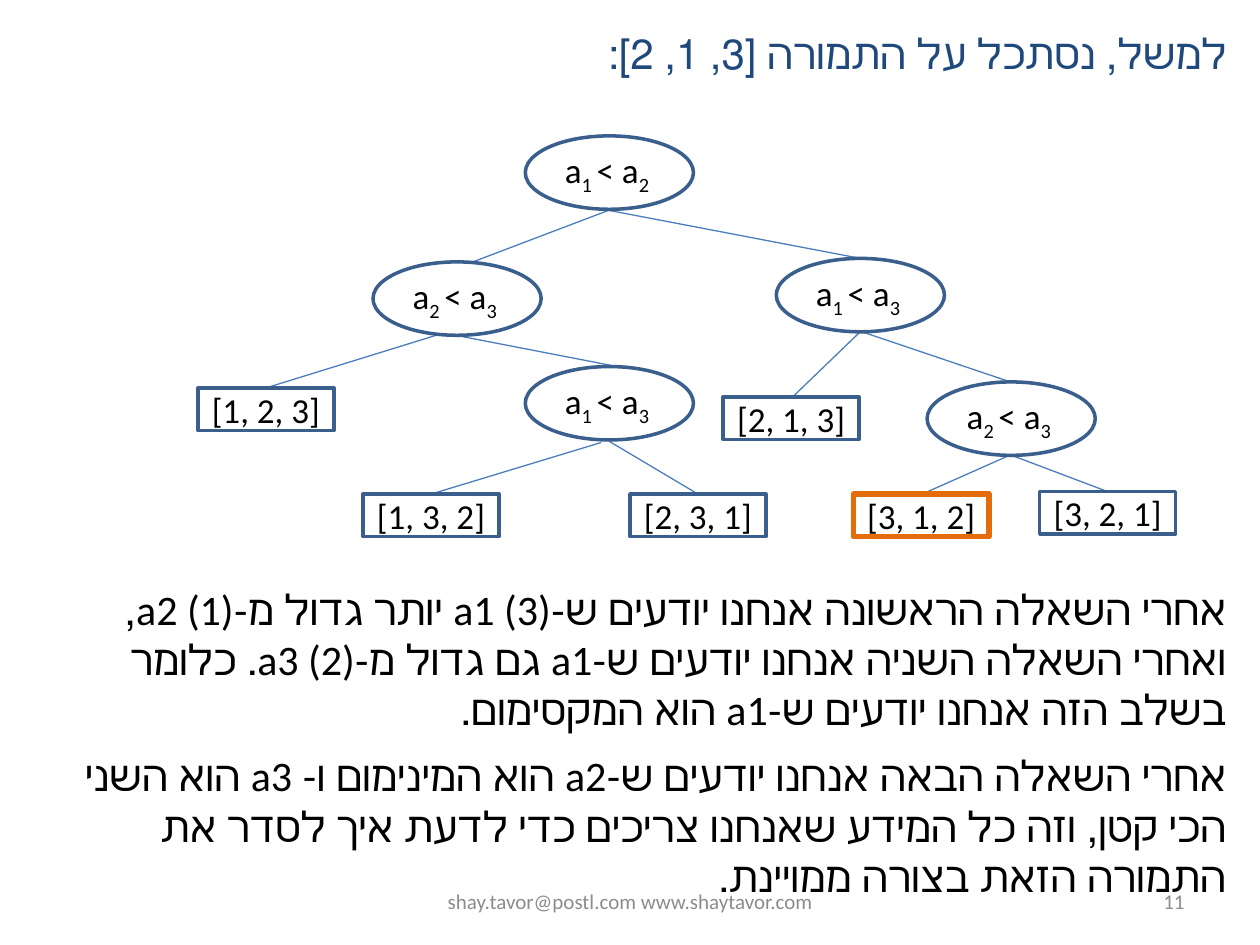
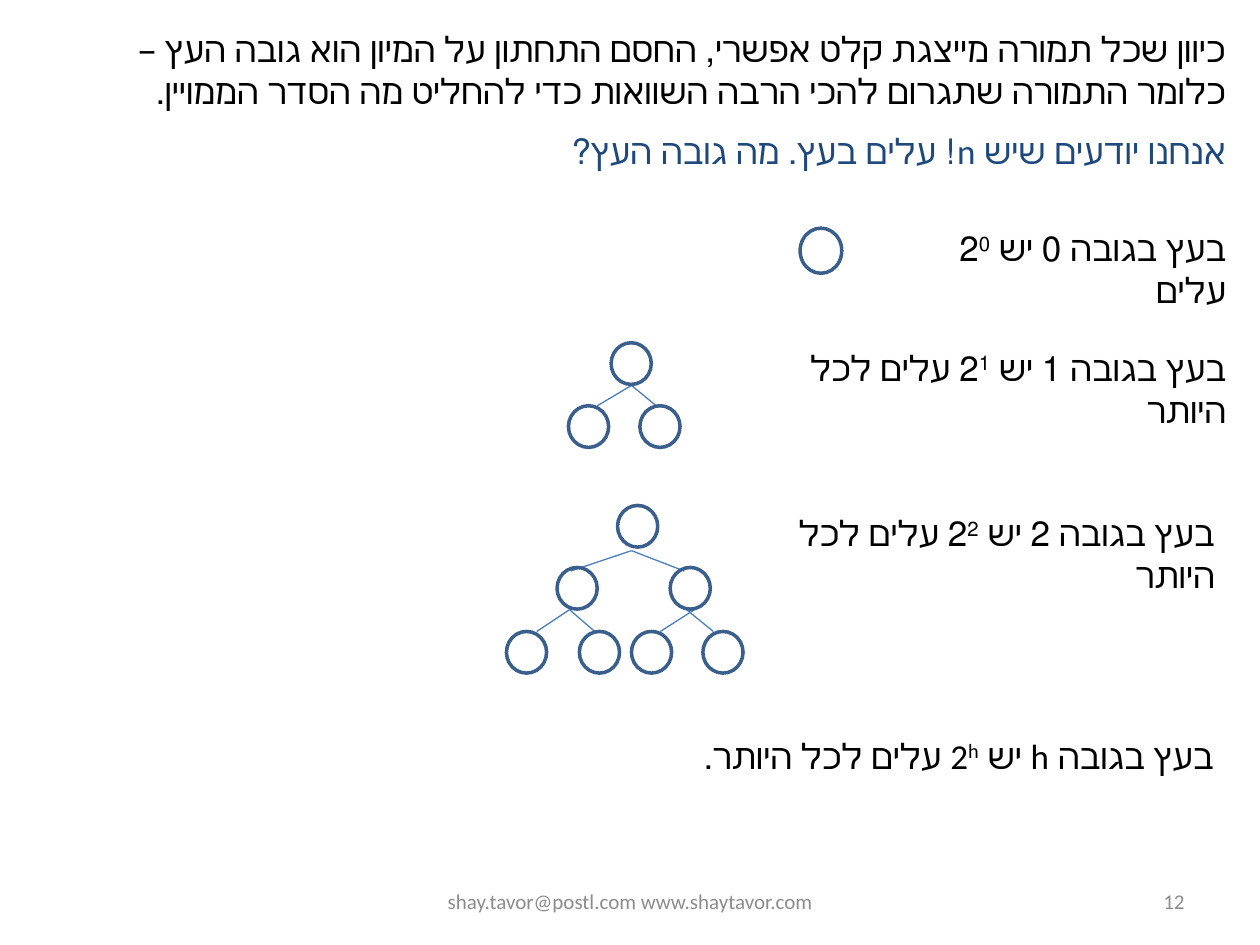
from lxml import etree
from pptx import Presentation
from pptx import util as u
from pptx.dml.color import RGBColor
from pptx.enum import shapes, text
from pptx.oxml.ns import qn

FONT = "Calibri"
BLACK, NAVY, GREY = "000000", "1F497D", "8C8C8C"
EDGE, WIRE, MARK = "3A5F8C", "4B7EBC", "E46C0A"
OVAL, RECT = shapes.MSO_SHAPE.OVAL, shapes.MSO_SHAPE.RECTANGLE
MID, RIGHT = text.PP_ALIGN.CENTER, text.PP_ALIGN.RIGHT


def ink(code):
    """Turn a hex string into a colour."""
    return RGBColor.from_string(code)


def write(frame, parts, size, hue, align, base=0):
    """Write one paragraph whose every second part is raised or lowered."""
    para = frame.paragraphs[0]
    para.alignment = align
    para.font.name, para.font.size = FONT, u.Pt(size)
    para.font.color.rgb = ink(hue)
    for i, part in enumerate(parts):
        run = para.add_run()
        run.text = part
        if i % 2:
            run._r.get_or_add_rPr().set("baseline", str(base * 1000))
    return para


def label(slide, box, line, align):
    """Add a small grey footer text."""
    frame = slide.shapes.add_textbox(*map(u.Cm, box)).text_frame
    frame.word_wrap = True
    frame.vertical_anchor = text.MSO_ANCHOR.MIDDLE
    write(frame, [line], 12, GREY, align)


def hebrew(slide, box, parts, size=20, hue=BLACK):
    """Add a right-to-left text box with raised exponents."""
    frame = slide.shapes.add_textbox(*map(u.Cm, box)).text_frame
    frame.word_wrap = True
    frame.auto_size = text.MSO_AUTO_SIZE.SHAPE_TO_FIT_TEXT
    para = write(frame, parts, size, hue, RIGHT, 30)
    para._p.get_or_add_pPr().set("rtl", "1")


def node(slide, kind, box, parts=(), hue=EDGE, width=2):
    """Add an outlined tree node with lowered indices."""
    shape = slide.shapes.add_shape(kind, *map(u.Cm, box))
    shape.shadow.inherit = False
    shape.fill.background()
    shape.line.color.rgb, shape.line.width = ink(hue), u.Pt(width)
    if parts:
        frame = shape.text_frame
        frame.word_wrap = False
        frame.vertical_anchor = text.MSO_ANCHOR.MIDDLE
        write(frame, parts, 20, BLACK, MID, -25)


def fan(slide, start, *ends):
    """Draw branches from one point to each end."""
    for end in ends:
        wire = slide.shapes.add_connector(
            shapes.MSO_CONNECTOR.STRAIGHT, *map(u.Cm, start + end))
        wire.line.color.rgb, wire.line.width = ink(WIRE), u.Pt(0.75)
        etree.SubElement(wire._element.spPr, qn("a:effectLst"))


def page(deck, number):
    """Add a blank slide with its footer."""
    slide = deck.slides.add_slide(deck.slide_layouts[6])
    label(slide, (8.68, 17.65, 8.05, 1.02),
          "shay.tavor@postl.com www.shaytavor.com", MID)
    label(slide, (18.2, 17.65, 5.93, 1.02), str(number), RIGHT)
    return slide


def sorting(deck):
    """Build the decision tree slide."""
    slide = page(deck, 11)
    hebrew(slide, (4.23, 0.42, 20.75, 1.28),
           ["למשל, נסתכל על התמורה [3, 1, 2]:"], 24, NAVY)
    for start, *ends in [
        ((12.27, 4.24), (9.53, 5.28), (17.35, 5.21)),
        ((8.79, 6.76), (5.36, 7.82)),
        ((9.19, 6.76), (12.6, 7.42)),
        ((12.12, 8.92), (8.69, 9.96)),
        ((12.27, 8.89), (14.07, 9.96)),
        ((17.35, 6.68), (15.98, 8), (20.37, 7.7)),
        ((20.37, 9.17), (18.59, 9.96), (22.33, 9.91)),
    ]:
        fan(slide, start, *ends)
    for x, y, a, b in [
        (10.59, 2.74, 1, 2), (7.52, 5.28, 2, 3), (10.59, 7.39, 1, 3),
        (15.65, 5.21, 1, 3), (18.69, 7.7, 2, 3),
    ]:
        node(slide, OVAL, (x, y, 3.39, 1.48),
             ["a", f"{a} ", "< a", f"{b} "])
    for x, y, *order in [
        (3.99, 7.82, 1, 2, 3), (7.32, 9.96, 1, 3, 2), (12.7, 9.96, 2, 3, 1),
        (14.58, 8, 2, 1, 3), (17.2, 9.96, 3, 1, 2), (20.96, 9.91, 3, 2, 1),
    ]:
        style = (MARK, 3) if order == [3, 1, 2] else (EDGE, 2)
        node(slide, RECT, (x, y, 2.74, 0.86), [str(order)], *style)
    hebrew(slide, (1.27, 11.63, 23.7, 3.33), [
        "אחרי השאלה הראשונה אנחנו יודעים ש-a1 (3) יותר גדול מ-a2 (1), "
        "ואחרי השאלה השניה אנחנו יודעים ש-a1 גם גדול מ-a3 (2). "
        "כלומר בשלב הזה אנחנו יודעים ש-a1 הוא המקסימום."], 24)
    hebrew(slide, (1.27, 14.99, 23.7, 3.33), [
        "אחרי השאלה הבאה אנחנו יודעים ש-a2 הוא המינימום ו- a3 הוא השני "
        "הכי קטן, וזה כל המידע שאנחנו צריכים כדי לדעת איך לסדר את "
        "התמורה הזאת בצורה ממויינת."], 24)


def height(deck):
    """Build the slide on tree height and leaves."""
    slide = page(deck, 12)
    hebrew(slide, (0.64, 0.42, 24.33, 1.96), [
        "כיוון שכל תמורה מייצגת קלט אפשרי, החסם התחתון על המיון הוא גובה "
        "העץ – כלומר התמורה שתגרום להכי הרבה השוואות כדי להחליט מה הסדר "
        "הממויין."])
    hebrew(slide, (0.64, 2.49, 24.33, 1.11),
           ["אנחנו יודעים שיש n! עלים בעץ. מה גובה העץ?"], hue=NAVY)
    for x, y, wide, power, tail in [
        (17.78, 4.45, 7.19, "0", " עלים"),
        (14.53, 6.86, 10.44, "1", " עלים לכל היותר"),
        (14.53, 10.19, 10.21, "2", " עלים לכל היותר"),
        (13.72, 14.68, 11, "h", " עלים לכל היותר."),
    ]:
        hebrew(slide, (x, y, wide, 1.11),
               [f"בעץ בגובה {power} יש 2", power, tail])
    for start, *ends in [
        ((12.73, 7.77), (12.04, 8.18), (13.23, 8.18)),
        ((12.73, 11.1), (11.51, 11.51), (13.79, 11.51)),
        ((11.48, 12.29), (10.82, 12.73), (11.99, 12.73)),
        ((14, 12.29), (13.31, 12.73)),
        ((13.84, 12.29), (14.38, 12.73)),
    ]:
        fan(slide, start, *ends)
    node(slide, OVAL, (16.13, 4.6, 0.84, 0.91))
    for y, *row in [
        (6.91, 12.32), (8.18, 11.46, 12.9), (10.19, 12.45),
        (11.44, 11.23, 13.51), (12.73, 10.21, 11.68, 12.73, 14.17),
    ]:
        for x in row:
            node(slide, OVAL, (x, y, 0.81, 0.84))


def main():
    """Build and save the deck."""
    deck = Presentation()
    deck.slide_width, deck.slide_height = u.Cm(25.4), u.Cm(19.05)
    sorting(deck)
    height(deck)
    deck.save("out.pptx")


main()
